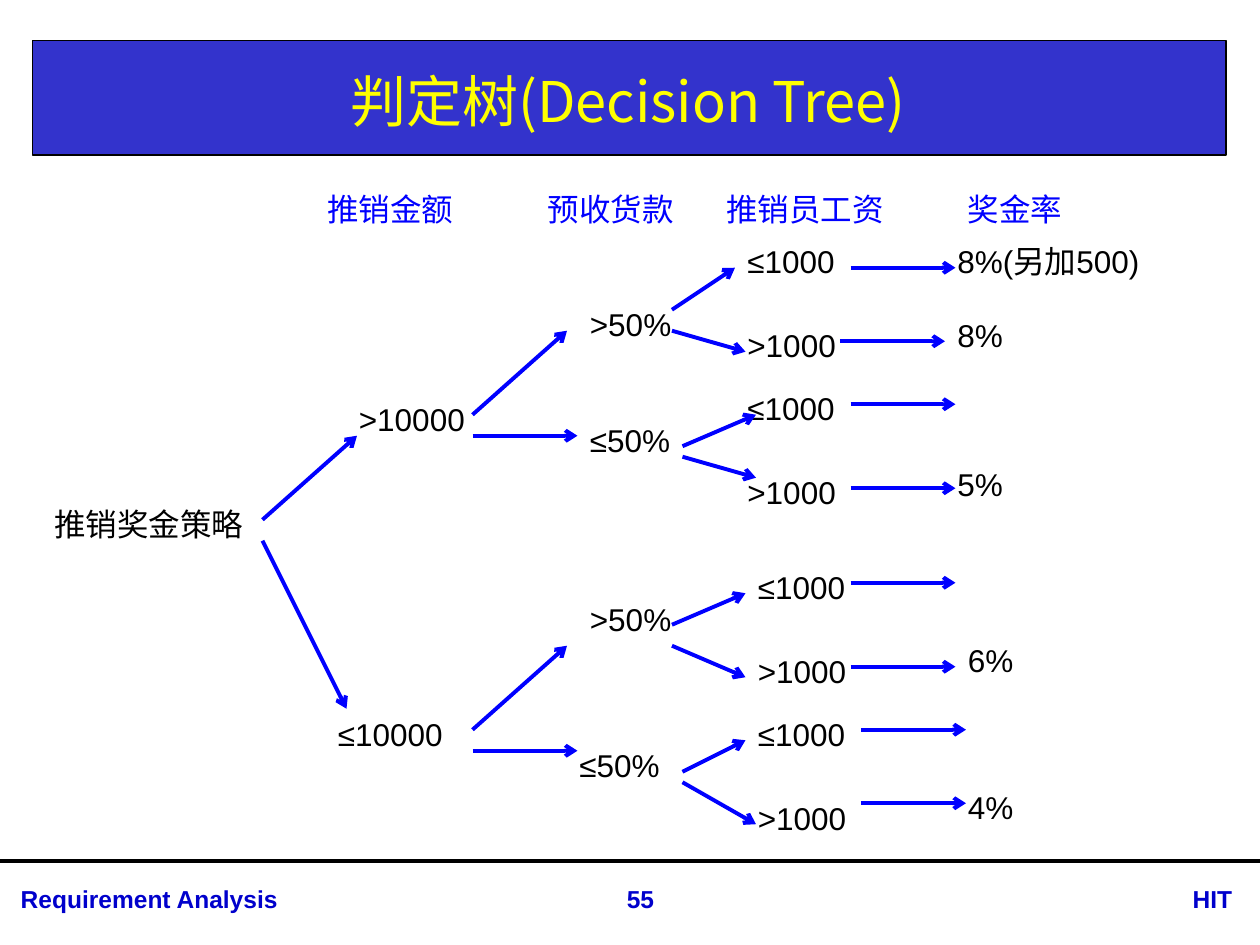
from dataclasses import dataclass

from lxml import etree
from pptx import Presentation
from pptx.dml.color import RGBColor
from pptx.enum.shapes import MSO_CONNECTOR, MSO_SHAPE
from pptx.enum.text import MSO_ANCHOR, MSO_AUTO_SIZE, PP_ALIGN
from pptx.oxml.ns import qn
from pptx.util import Inches, Pt

LEFT, CENTER = PP_ALIGN.LEFT, PP_ALIGN.CENTER
MIDDLE = MSO_ANCHOR.MIDDLE
RECT, STRAIGHT = MSO_SHAPE.RECTANGLE, MSO_CONNECTOR.STRAIGHT
GROW, FIXED = MSO_AUTO_SIZE.SHAPE_TO_FIT_TEXT, MSO_AUTO_SIZE.NONE

COLS, ROWS = 120, 90  # grid of twelfths of an inch


@dataclass(frozen=True)
class Theme:
    latin: str = "Arial"
    cjk: str = "Noto Sans CJK SC"
    ink: str = "000000"
    accent: str = "0000FF"
    banner: str = "3333CC"
    title: str = "FFFF00"
    footer: str = "0000CC"
    title_size: int = 32
    body_size: int = 18
    footer_size: int = 14
    line: float = 2.25
    border: float = 0.75


class TreeSlide:
    """Places elements by column and row; rows of the tree sit half a row down."""

    def __init__(self, prs, theme):
        self.theme = theme
        self.col = prs.slide_width / COLS
        self.row = prs.slide_height / ROWS
        self.s = prs.slides.add_slide(prs.slide_layouts[5])

    def x(self, col):
        return round(col * self.col)

    def y(self, row):
        return round((row + 0.5) * self.row)

    def style(self, p, size, color, font, bold=False, align=LEFT):
        p.alignment = align
        for r in p.runs:
            r.font.size, r.font.bold, r.font.name = Pt(size), bold, font
            r.font.color.rgb = RGBColor.from_string(color)
            ea = etree.SubElement(r.font._element, qn("a:ea"))
            ea.set("typeface", self.theme.cjk)

    def banner(self, title):
        t = self.theme
        sp = self.s.shapes.add_shape(RECT, Inches(0.26), Inches(0.32),
                                     Inches(9.47), Inches(0.91))
        sp.shadow.inherit = False
        sp.fill.solid()
        sp.fill.fore_color.rgb = RGBColor.from_string(t.banner)
        sp.line.color.rgb = RGBColor.from_string(t.ink)
        sp.line.width = Pt(t.border)
        ph = self.s.shapes.title
        ph._element.addprevious(sp._element)
        ph.left, ph.top = Inches(0.26), Inches(0.36)
        ph.width, ph.height = Inches(9.45), Inches(0.87)
        tf = ph.text_frame
        tf.text = title
        tf.auto_size, tf.vertical_anchor = FIXED, MIDDLE
        self.style(tf.paragraphs[0], t.title_size, t.title, t.cjk, align=CENTER)

    def text(self, text, col, row, cols, rows=4.8):
        box = self.s.shapes.add_textbox(self.x(col), self.y(row),
                                        self.x(cols), round(rows * self.row))
        tf = box.text_frame
        tf.word_wrap, tf.auto_size = True, GROW
        tf.text = text
        return tf.paragraphs[0]

    def label(self, text, col, row, cols, color=None, font=None):
        t = self.theme
        p = self.text(text, col, row, cols)
        pPr = p._p.get_or_add_pPr()
        pPr.set("marL", str(Inches(0.38)))
        pPr.set("indent", str(-Inches(0.38)))
        self.style(p, t.body_size, color or t.ink, font or t.latin)

    def heading(self, text, col, row, cols):
        self.label(text, col, row, cols, self.theme.accent, self.theme.cjk)

    def footer(self, text, col, cols, align=LEFT):
        t = self.theme
        p = self.text(text, col, 83.1, cols, 4)
        self.style(p, t.footer_size, t.footer, t.latin, True, align)

    def line(self, start, end, color):
        c = self.s.shapes.add_connector(STRAIGHT, self.x(start[0]), self.y(start[1]),
                                        self.x(end[0]), self.y(end[1]))
        c.line.color.rgb = RGBColor.from_string(color)
        c.line.width = Pt(self.theme.line)
        etree.SubElement(c._element.spPr, qn("a:effectLst"))
        return c

    def arrow(self, start, end):
        c = self.line(start, end, self.theme.accent)
        etree.SubElement(c.line._get_or_add_ln(), qn("a:tailEnd")).set("type", "arrow")


HEADINGS = [("推销金额", 30, 18), ("预收货款", 51, 18),
            ("推销员工资", 68, 21), ("奖金率", 91, 18)]

# text, column, row, width in columns
NODES = [
    ("推销奖金策略", 4, 47.5, 23.4),
    (">10000", 33, 37.5, 19), ("≤10000", 31, 67.5, 17),
    (">50%", 55, 28.5, 13), ("≤50%", 55, 39.5, 13),
    (">50%", 55, 56.6, 12), ("≤50%", 54, 70.5, 12),
    ("8%(另加500)", 90, 22.5, 24.5), ("8%", 90, 29.5, 21),
    ("5%", 90, 43.7, 21), ("6%", 91, 60.5, 21), ("4%", 91, 74.5, 21),
]

# column and row of each salary pair's two labels: ≤1000 above >1000
SALARIES = [(70, 22.5, 30.5), (70, 36.5, 44.5), (71, 53.5, 61.5), (71, 67.5, 75.5)]

# start column, then (start row, end column, end row) of each branch
BRANCHES = [
    (25, [(49, 34, 41), (51, 33, 67)]),
    (45, [(39, 54, 31), (41, 55, 41), (69, 54, 61), (71, 55, 71)]),
    (64, [(29, 70, 25), (31, 71, 33), (59, 71, 56), (61, 71, 64)]),
    (65, [(42, 72, 39), (43, 72, 45), (73, 71, 70), (74, 72, 78)]),
]

# column and row of the level arrows that lead to the bonus rates
RATE_ARROWS = [(81, 25), (80, 32), (81, 38), (81, 46),
               (81, 55), (81, 63), (82, 69), (82, 76)]
RATE_ARROW_COLS = 10


def main():
    prs = Presentation()
    prs.slide_width, prs.slide_height = Inches(10), Inches(7.5)
    slide = TreeSlide(prs, Theme())

    slide.banner("判定树(Decision Tree)")
    slide.line((0, 81.5), (COLS, 81.5), slide.theme.ink)
    slide.footer("Requirement Analysis", 0.8, 35)
    slide.footer("55", 54.8, 12.4, CENTER)
    slide.footer("HIT", 112.4, 8.3)

    for heading in HEADINGS:
        slide.heading(heading[0], heading[1], 17, heading[2])
    for text, col, row, cols in NODES:
        slide.label(text, col, row - 0.5, cols)
    for col, low, high in SALARIES:
        slide.label("≤1000", col, low - 0.5, 13)
        slide.label(">1000", col, high - 0.5, 13)
    for col, branches in BRANCHES:
        for row, end_col, end_row in branches:
            slide.arrow((col, row), (end_col, end_row))
    for col, row in RATE_ARROWS:
        slide.arrow((col, row), (col + RATE_ARROW_COLS, row))

    prs.save("out.pptx")


if __name__ == "__main__":
    main()
